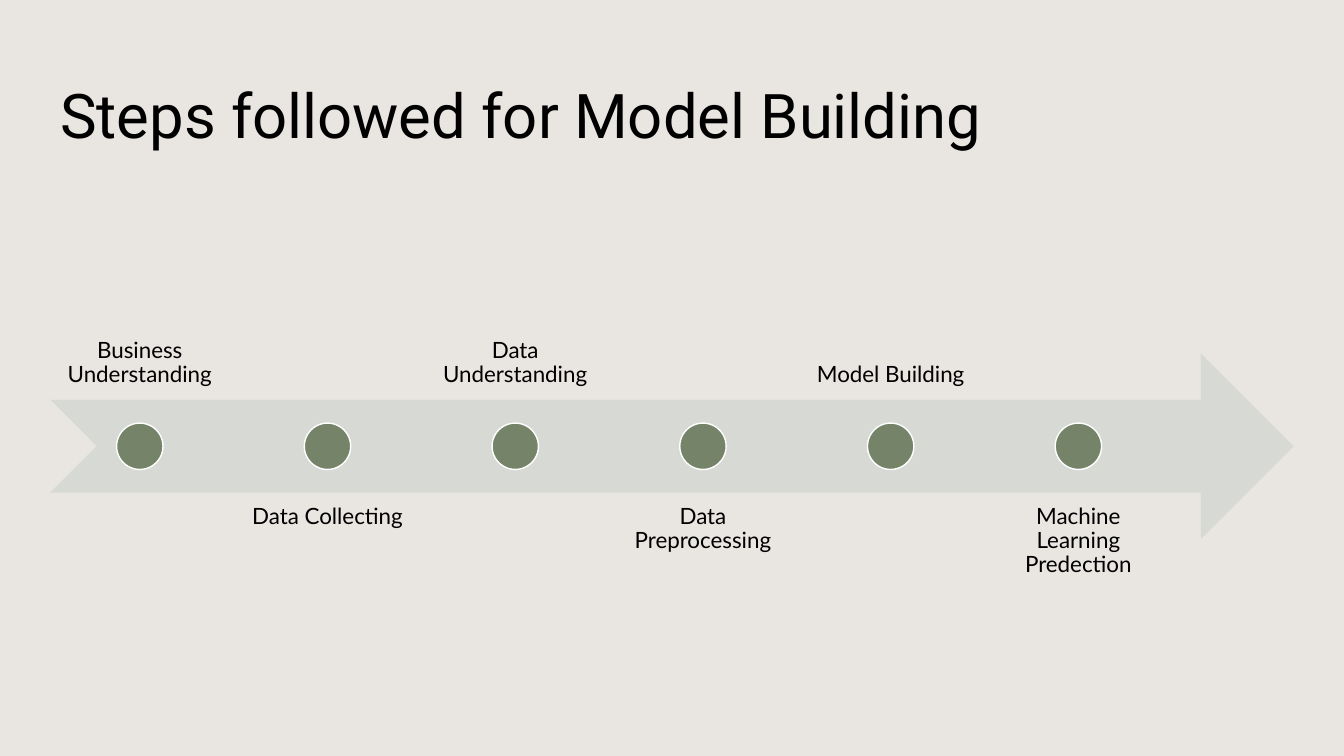
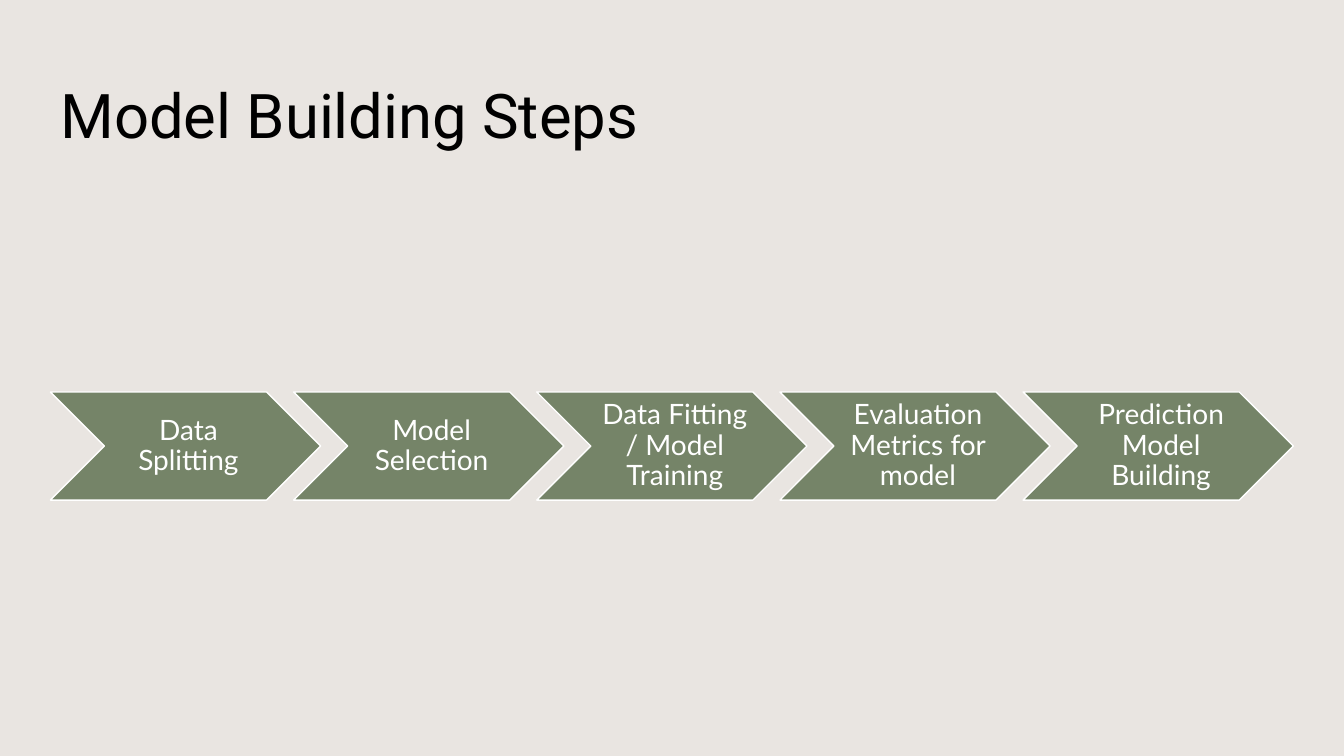
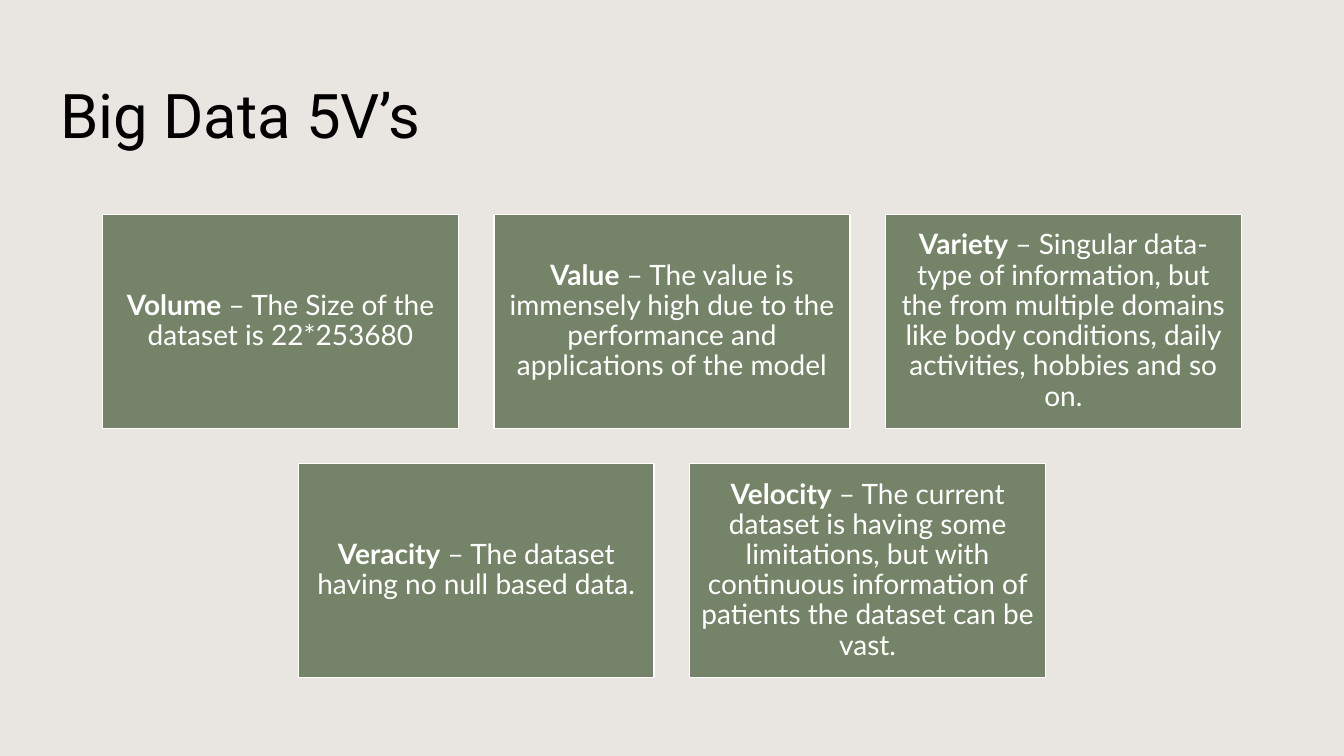
"""Build three slides on model building steps and the 5V's of big data."""
from pptx import Presentation
from pptx import util as u
from pptx.dml import color
from pptx.enum import shapes, text

Pt = u.Pt
rgb = color.RGBColor.from_string
MSO = shapes.MSO_SHAPE
TOP, MIDDLE, BOTTOM = (text.MSO_ANCHOR.TOP, text.MSO_ANCHOR.MIDDLE,
                       text.MSO_ANCHOR.BOTTOM)
CENTER = text.PP_ALIGN.CENTER
PAPER, PALE, GREEN, WHITE, BLACK = "E9E5E1", "D6D9D4", "758468", "FFFFFF", "000000"

TITLE = {"font": {"name": "Roboto", "size": Pt(44)}, "para": {}, "color": BLACK}
BODY = {"font": {"name": "Lato", "size": Pt(20)},
        "para": {"alignment": CENTER, "line_spacing": 0.9}, "color": WHITE}
LABEL = {**BODY, "font": {"name": "Lato", "size": Pt(16)}, "color": BLACK}


def draw(s, kind, box, fill, line=None):
    """Add a flat preset shape."""
    sp = s.shapes.add_shape(kind, *map(Pt, box))
    sp.shadow.inherit = False
    sp.fill.solid()
    sp.fill.fore_color.rgb = rgb(fill)
    if line:
        sp.line.color.rgb = rgb(line)
        sp.line.width = Pt(1)
    else:
        sp.line.fill.background()
    return sp


def write(sp, runs, style, anchor=MIDDLE, margins=(7.2, 3.6, 7.2, 3.6)):
    """Fill a shape with one paragraph of (text, bold) runs."""
    tf = sp.text_frame
    frame = {"word_wrap": True, "vertical_anchor": anchor}
    for side, m in zip(("left", "top", "right", "bottom"), margins):
        frame["margin_" + side] = Pt(m)
    p = tf.paragraphs[0]
    for obj, fmt in ((tf, frame), (p, style["para"])):
        for k, v in fmt.items():
            setattr(obj, k, v)
    for words, bold in runs:
        r = p.add_run()
        r.text = words
        for k, v in {**style["font"], "bold": bold}.items():
            setattr(r.font, k, v)
        r.font.color.rgb = rgb(style["color"])


prs = Presentation()
prs.slide_width, prs.slide_height = Pt(960), Pt(540)
bg = prs.slide_master.background.fill
bg.solid()
bg.fore_color.rgb = rgb(PAPER)

slides = []
for title in ("Steps followed for Model Building", "Model Building Steps",
              "Big Data 5V’s"):
    s = prs.slides.add_slide(prs.slide_layouts[6])
    write(s.shapes.add_textbox(Pt(36), Pt(28.8), Pt(858), Pt(104.4)),
          [(title, False)], TITLE)
    slides.append(s)
timeline, process, grid = slides

left, top, w, h = 36, 252.5, 127.7, 132.5
dot, pitch = h / 4, 1.05 * w
draw(timeline, MSO.NOTCHED_RIGHT_ARROW, (left, top, 888, h), PALE)
steps = ["Business Understanding", "Data Collecting", "Data Understanding",
         "Data Preprocessing", "Model Building", "Machine Learning Predection"]
for i, step in enumerate(steps):
    x = left + i * pitch
    shift, anchor = (0.75 * h, TOP) if i % 2 else (-0.75 * h, BOTTOM)
    label = timeline.shapes.add_textbox(Pt(x), Pt(top + shift), Pt(w), Pt(h))
    write(label, [(step, False)], LABEL, anchor, (8.96,) * 4)
    draw(timeline, MSO.OVAL, (x + (w - dot) / 2, top + (h - dot) / 2, dot, dot),
         GREEN, WHITE)

w, h = 193, 77.2
stages = ["Data Splitting", "Model Selection", "Data Fitting / Model Training",
          "Evaluation Metrics for model", "Prediction Model Building"]
for i, stage in enumerate(stages):
    sp = draw(process, MSO.CHEVRON, (36 + i * 0.9 * w, 280, w, h), GREEN, WHITE)
    write(sp, [(stage, False)], BODY, margins=(6.3, 2.1, 2.1, 2.1))

w, h, gap = 254.2, 152.5, 25.4
rows = [
    [("Volume", "The Size of the dataset is 22*253680"),
     ("Value", "The value is immensely high due to the performance and "
               "applications of the model"),
     ("Variety", "Singular data-type of information, but the from multiple "
                 "domains like body conditions, daily activities, hobbies "
                 "and so on.")],
    [("Veracity", "The dataset having no null based data."),
     ("Velocity", "The current dataset is having some limitations, but with "
                  "continuous information of patients the dataset can be vast.")],
]
for i, row in enumerate(rows):
    left = (960 - len(row) * w - (len(row) - 1) * gap) / 2
    for j, (name, about) in enumerate(row):
        box = (left + j * (w + gap), 153.4 + i * (h + gap), w, h)
        sp = draw(grid, MSO.RECTANGLE, box, GREEN, WHITE)
        write(sp, [(name, True), (" – " + about, False)], BODY, margins=(6,) * 4)

prs.save("out.pptx")
